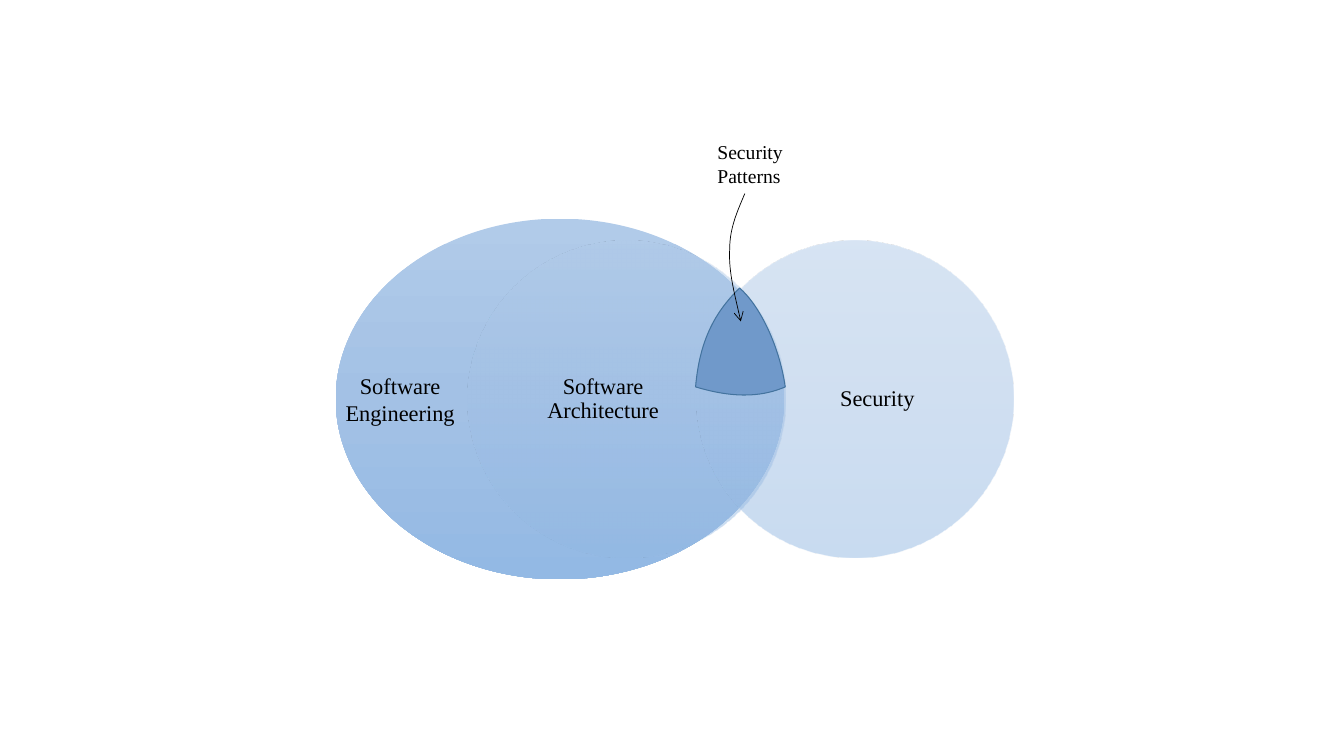
from dataclasses import dataclass

from lxml import etree
from pptx import Presentation
from pptx import util as u
from pptx.dml.color import RGBColor
from pptx.enum import shapes, text
from pptx.oxml.ns import qn
from pptx.shapes.autoshape import Shape
from pptx.slide import Slide

BLACK = RGBColor(0x00, 0x00, 0x00)
OVERLAP_FILL = RGBColor(0x70, 0x99, 0xCA)
OVERLAP_LINE = RGBColor(0x43, 0x73, 0x9E)
GRADIENT = (
    (0, RGBColor(0xB1, 0xCB, 0xE9)),
    (50, RGBColor(0xA3, 0xC1, 0xE5)),
    (100, RGBColor(0x93, 0xB9, 0xE4)),
)
FONT = "Times New Roman"
Point = tuple[float, float]


@dataclass(frozen=True)
class Field:
    left: float
    top: float
    width: float
    height: float
    opacity: int


@dataclass(frozen=True)
class Label:
    lines: tuple[str, ...]
    left: float
    top: float
    width: float
    height: float
    size: int = 16
    align: text.PP_ALIGN = text.PP_ALIGN.CENTER
    anchor: text.MSO_ANCHOR = text.MSO_ANCHOR.MIDDLE
    spacing: float = 0.9
    inset: tuple[float, float] = (0, 0)


CIRCLE_TOP, CIRCLE_WIDTH, CIRCLE_HEIGHT = 6.07, 8, 7.98
FIELDS = (
    Field(8.46, 5.51, 11.3, 9.09, 100),
    Field(11.79, CIRCLE_TOP, CIRCLE_WIDTH, CIRCLE_HEIGHT, 50),
    Field(17.55, CIRCLE_TOP, CIRCLE_WIDTH, CIRCLE_HEIGHT, 50),
)
LABELS = (
    Label(("Software Architecture",), 12.9, 7.01, 4.6, 6.1),
    Label(("Security",), 19.81, 7.01, 4.6, 6.1),
    Label(("Security Patterns",), 17.83, 3.4, 2.74, 1.45, size=14,
          align=text.PP_ALIGN.LEFT, anchor=text.MSO_ANCHOR.TOP,
          spacing=1, inset=(0.25, 0.13)),
    Label(("Software", "Engineering"), 8.18, 9.25, 3.81, 1.63,
          anchor=text.MSO_ANCHOR.TOP, spacing=1, inset=(0.25, 0.13)),
)
OVERLAP = (
    (17.53, 9.75),
    (17.63, 8.59), (18.01, 7.87), (18.64, 7.26),
    (19.1, 7.65), (19.63, 8.64), (19.79, 9.75),
    (19.3, 9.96), (18.62, 10.08), (17.53, 9.75),
)
ARROW = (
    (18.77, 4.88),
    (18.59, 5.31), (18.39, 5.74), (18.39, 6.27),
    (18.36, 6.81), (18.52, 7.44), (18.67, 8.1),
)


def apply_format(target: object, values: dict[str, object]) -> None:
    for name, value in values.items():
        setattr(target, name, value)


def draw_field(page: Slide, field: Field) -> None:
    oval = page.shapes.add_shape(
        shapes.MSO_SHAPE.OVAL, u.Cm(field.left), u.Cm(field.top),
        u.Cm(field.width), u.Cm(field.height))
    oval.shadow.inherit = False
    oval.line.fill.background()
    oval.fill.gradient()
    oval.fill.gradient_angle = 270
    stops = next(oval.element.iter(qn("a:gsLst")))
    for stop in list(stops):
        stops.remove(stop)
    for position, color in GRADIENT:
        stop = etree.SubElement(stops, qn("a:gs"), pos=str(position * 1000))
        shade = etree.SubElement(stop, qn("a:srgbClr"), val=str(color))
        etree.SubElement(shade, qn("a:alpha"), val=str(field.opacity * 1000))


def draw_curve(page: Slide, points: tuple[Point, ...], closed: bool,
               color: RGBColor, width: float) -> Shape:
    corners = [(u.Cm(x), u.Cm(y)) for x, y in points]
    builder = page.shapes.build_freeform(*corners[0])
    builder.add_line_segments(corners[1:], close=closed)
    curve = builder.convert_to_shape()
    segments = list(curve.element.iter(qn("a:lnTo")))
    for start in range(0, len(points) - 1, 3):
        bezier = etree.Element(qn("a:cubicBezTo"))
        segments[start].addprevious(bezier)
        for segment in segments[start:start + 3]:
            bezier.append(segment[0])
            segment.getparent().remove(segment)
    curve.shadow.inherit = False
    curve.fill.background()
    curve.line.color.rgb = color
    curve.line.width = u.Pt(width)
    return curve


def draw_label(page: Slide, label: Label) -> None:
    box = page.shapes.add_textbox(
        u.Cm(label.left), u.Cm(label.top), u.Cm(label.width), u.Cm(label.height))
    frame = box.text_frame
    side, edge = (u.Cm(inset) for inset in label.inset)
    apply_format(frame, {
        "word_wrap": True, "vertical_anchor": label.anchor,
        "margin_left": side, "margin_right": side,
        "margin_top": edge, "margin_bottom": edge,
    })
    for index, line in enumerate(label.lines):
        para = frame.add_paragraph() if index else frame.paragraphs[0]
        apply_format(para, {"alignment": label.align, "line_spacing": label.spacing})
        span = para.add_run()
        span.text = line
        apply_format(span.font, {"name": FONT, "size": u.Pt(label.size)})
        span.font.color.rgb = BLACK


def main() -> None:
    deck = Presentation()
    apply_format(deck, {"slide_width": u.Cm(33.87), "slide_height": u.Cm(19.05)})
    page = deck.slides.add_slide(deck.slide_layouts[6])
    for field in FIELDS:
        draw_field(page, field)
    overlap = draw_curve(page, OVERLAP, True, OVERLAP_LINE, 0.75)
    overlap.fill.solid()
    overlap.fill.fore_color.rgb = OVERLAP_FILL
    for label in LABELS:
        draw_label(page, label)
    arrow = draw_curve(page, ARROW, False, BLACK, 0.5)
    outline = next(arrow.element.iter(qn("a:ln")))
    etree.SubElement(outline, qn("a:tailEnd"), type="arrow")
    deck.save("out.pptx")


if __name__ == "__main__":
    main()
